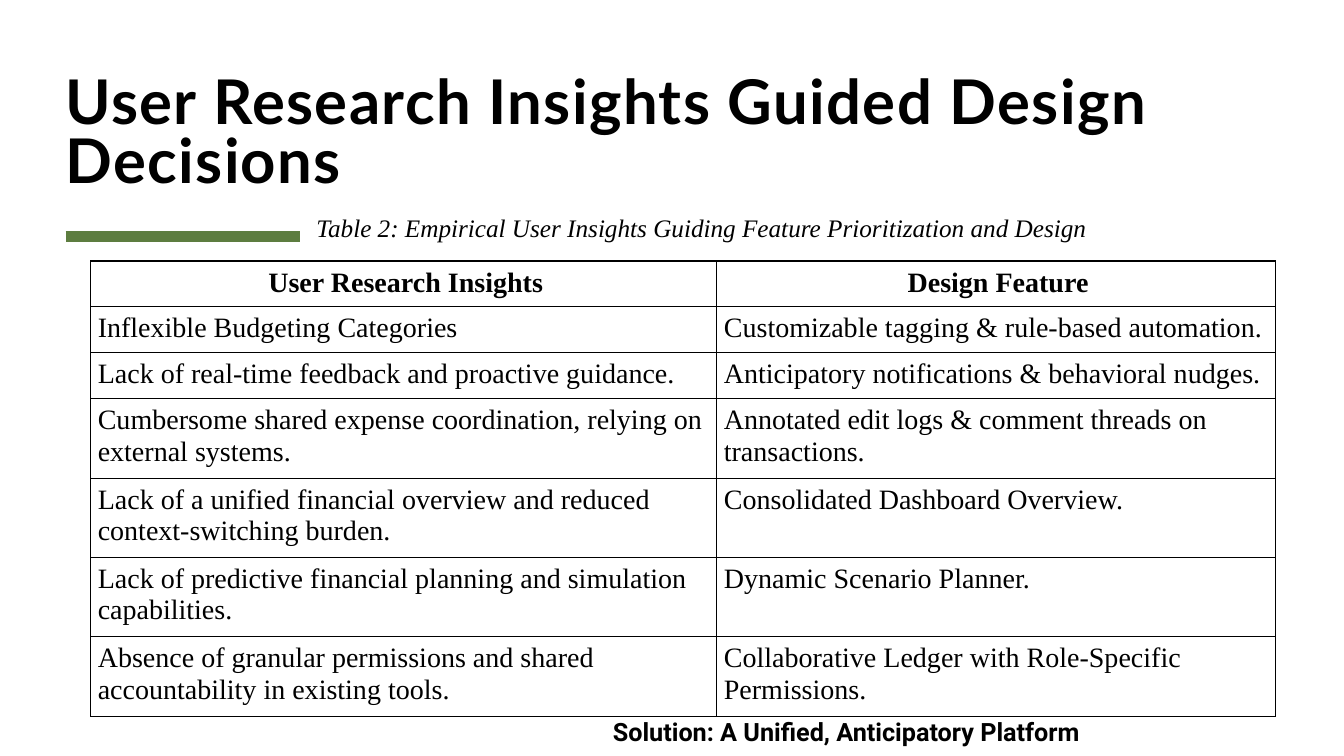
import pptx
import pptx.dml.color
import pptx.enum.shapes
import pptx.enum.text
import pptx.oxml
import pptx.oxml.ns
import pptx.util
from pptx.util import Inches

TITLE = "User Research Insights Guided Design Decisions"
CAPTION = "Table 2: Empirical User Insights Guiding Feature Prioritization and Design"
SOLUTION = "Solution: A Unified, Anticipatory Platform"
INSIGHTS = [
    ("User Research Insights", "Design Feature"),
    ("Inflexible Budgeting Categories",
     "Customizable tagging & rule-based automation."),
    ("Lack of real-time feedback and proactive guidance.",
     "Anticipatory notifications & behavioral nudges."),
    ("Cumbersome shared expense coordination, relying on external systems.",
     "Annotated edit logs & comment threads on transactions."),
    ("Lack of a unified financial overview and reduced context-switching burden.",
     "Consolidated Dashboard Overview."),
    ("Lack of predictive financial planning and simulation capabilities.",
     "Dynamic Scenario Planner."),
    ("Absence of granular permissions and shared accountability in existing tools.",
     "Collaborative Ledger with Role-Specific Permissions."),
]
COL_WIDTHS = [6.21, 5.54]
ROW_HEIGHTS = [0.43, 0.44, 0.46] + [0.74] * 4

THEME = {
    "text": "000000", "accent": "5D7D40", "border": "000000",
    "title_font": "Lato", "body_font": "Times New Roman", "solution_font": "Roboto",
    "title_size": 44, "table_size": 20, "note_size": 18,
    "accent_width": 8, "border_width": 1,
}


def color(name):
    return pptx.dml.color.RGBColor.from_string(THEME[name])


def style(p, font, size, bold=False, italic=False):
    for r in p.runs:
        r.font.name = THEME[font]
        r.font.size = pptx.util.Pt(THEME[size])
        r.font.bold = bold
        r.font.italic = italic
        r.font.color.rgb = color("text")


def add_text(s, text, left, top, width, height, font, size, **weight):
    box = s.shapes.add_textbox(Inches(left), Inches(top), Inches(width), Inches(height))
    tf = box.text_frame
    tf.word_wrap = True
    tf.text = text
    style(tf.paragraphs[0], font, size, **weight)
    return tf


def add_title(s):
    tf = add_text(s, TITLE, 0.65, 0.22, 12, 1.72, "title_font", "title_size", bold=True)
    tf.margin_left = tf.margin_top = tf.margin_right = tf.margin_bottom = 0
    tf.vertical_anchor = pptx.enum.text.MSO_ANCHOR.BOTTOM
    p = tf.paragraphs[0]
    p.line_spacing = 0.8
    p.runs[0].font._element.set("spc", "100")


def add_accent_line(s):
    line = s.shapes.add_connector(pptx.enum.shapes.MSO_CONNECTOR.STRAIGHT,
                                  Inches(0.65), Inches(2.35), Inches(2.98), Inches(2.35))
    line.line.color.rgb = color("accent")
    line.line.width = pptx.util.Pt(THEME["accent_width"])
    line._element.spPr.append(pptx.oxml.parse_xml(
        f'<a:effectLst {pptx.oxml.ns.nsdecls("a")}/>'))


def add_borders(cell):
    tcPr = cell._tc.get_or_add_tcPr()
    width = pptx.util.Pt(THEME["border_width"])
    for i, side in enumerate(("lnL", "lnR", "lnT", "lnB")):
        tcPr.insert(i, pptx.oxml.parse_xml(
            f'<a:{side} {pptx.oxml.ns.nsdecls("a")} w="{width}"><a:solidFill>'
            f'<a:srgbClr val="{THEME["border"]}"/></a:solidFill></a:{side}>'))


def add_insight_table(s):
    table = s.shapes.add_table(len(INSIGHTS), len(COL_WIDTHS), Inches(0.9), Inches(2.59),
                               Inches(sum(COL_WIDTHS)), Inches(sum(ROW_HEIGHTS))).table
    table.horz_banding = False
    for column, width in zip(table.columns, COL_WIDTHS):
        column.width = Inches(width)
    for i, (row, height, texts) in enumerate(zip(table.rows, ROW_HEIGHTS, INSIGHTS)):
        row.height = Inches(height)
        for cell, text in zip(row.cells, texts):
            cell.text_frame.text = text
            cell.margin_left, cell.margin_right = Inches(0.07), Inches(0.03)
            cell.margin_top = cell.margin_bottom = Inches(0.06)
            cell.fill.background()
            add_borders(cell)
            p = cell.text_frame.paragraphs[0]
            if i == 0:
                p.alignment = pptx.enum.text.PP_ALIGN.CENTER
            style(p, "body_font", "table_size", bold=i == 0)


def main():
    prs = pptx.Presentation()
    prs.slide_width, prs.slide_height = Inches(13.33), Inches(7.5)
    s = prs.slides.add_slide(prs.slide_layouts[6])
    add_accent_line(s)
    add_title(s)
    add_insight_table(s)
    add_text(s, CAPTION, 3.04, 2.06, 8.34, 0.4, "body_font", "note_size", italic=True)
    add_text(s, SOLUTION, 5.98, 7.06, 6.67, 0.4, "solution_font", "note_size", bold=True)
    prs.save("out.pptx")


if __name__ == "__main__":
    main()
